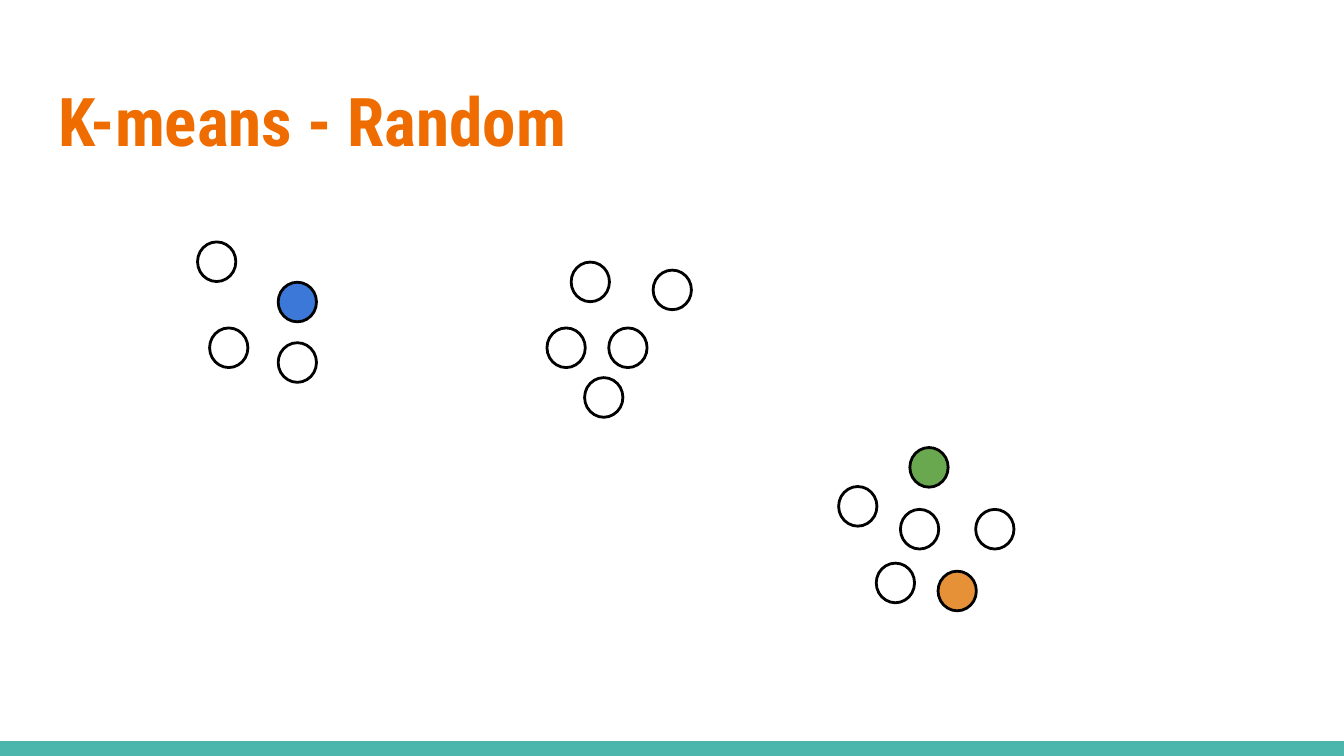
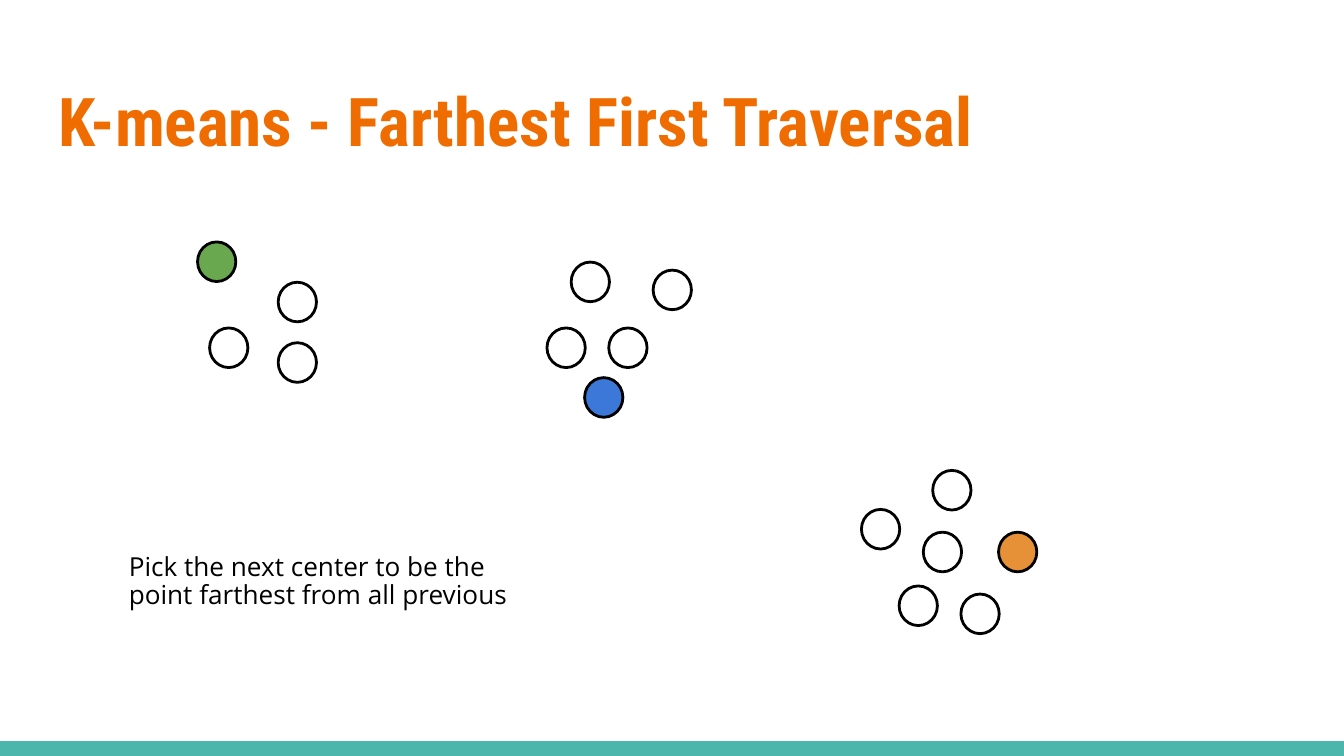
from dataclasses import dataclass

from pptx import Presentation
from pptx.dml.color import RGBColor
from pptx.enum.shapes import MSO_SHAPE as Shape
from pptx.enum.text import MSO_ANCHOR as Anchor
from pptx.util import Inches, Pt


@dataclass(frozen=True)
class Theme:
    title_font: str = "Roboto Condensed"
    body_font: str = "Open Sans"
    title_size: int = 36
    body_size: int = 14
    outline: float = 1.5
    title: str = "EF6C00"
    ink: str = "000000"
    band: str = "4DB6AC"
    blue: str = "3C78D8"
    green: str = "6AA84F"
    orange: str = "E69138"


THEME = Theme()

# The slide is a grid of 100 columns by 56.25 rows of equal cells
COLUMNS, ROWS = 100, 56.25
CELL = Inches(10) // COLUMNS
BAND_ROWS = 1.1
DOT_SIZE = (2.85, 2.95)

# Data points by cluster, as column and row of each dot's top left corner
LEFT = [(14.7, 18), (20.7, 21), (15.6, 24.4), (20.7, 25.5)]
MIDDLE = [(42.5, 19.5), (40.7, 24.4), (48.6, 20.1), (45.3, 24.4), (43.5, 28.1)]
RIGHT = [(69.8, 42.5), (72.6, 37.9), (65.2, 41.9), (67, 37.9), (67.7, 33.3), (62.4, 36.2)]
RIGHT_SHIFT = 1.7


def cells(*counts):
    return [round(count * CELL) for count in counts]


def color(value):
    return RGBColor.from_string(value)


def add_band(slide):
    band = slide.shapes.add_shape(
        Shape.RECTANGLE, *cells(0, ROWS - BAND_ROWS, COLUMNS, BAND_ROWS))
    band.shadow.inherit = False
    band.fill.solid()
    band.fill.fore_color.rgb = color(THEME.band)
    band.line.fill.background()


def add_text(slide, text, area, font_name, size, ink, bold=False, spacing=1.0):
    frame = slide.shapes.add_textbox(*cells(*area)).text_frame
    frame.word_wrap = True
    frame.vertical_anchor = Anchor.TOP
    frame.margin_left = frame.margin_right = Inches(0.1)
    frame.margin_top = frame.margin_bottom = Inches(0.1)
    frame.text = text
    paragraph = frame.paragraphs[0]
    paragraph.line_spacing = spacing
    font = paragraph.runs[0].font
    font.name, font.size, font.bold = font_name, Pt(size), bold
    font.color.rgb = color(ink)


def add_dots(slide, points, centers, shift=0):
    """Draw one cluster; centers maps a point's index to its fill colour."""
    for index, (column, row) in enumerate(points):
        dot = slide.shapes.add_shape(
            Shape.OVAL, *cells(column + shift, row + shift, *DOT_SIZE))
        dot.shadow.inherit = False
        dot.line.color.rgb = color(THEME.ink)
        dot.line.width = Pt(THEME.outline)
        if index in centers:
            dot.fill.solid()
            dot.fill.fore_color.rgb = color(centers[index])
        else:
            dot.fill.background()


def add_slide(presentation, title):
    slide = presentation.slides.add_slide(presentation.slide_layouts[6])
    add_band(slide)
    add_text(slide, title, (3.4, 4.9, 93.2, 7.7), THEME.title_font,
             THEME.title_size, THEME.title, bold=True)
    return slide


def main():
    presentation = Presentation()
    presentation.slide_width, presentation.slide_height = cells(COLUMNS, ROWS)

    # Random choice of centers
    slide = add_slide(presentation, "K-means - Random")
    add_dots(slide, LEFT, {1: THEME.blue})
    add_dots(slide, MIDDLE, {})
    add_dots(slide, RIGHT, {0: THEME.orange, 4: THEME.green})

    # Farthest first choice of centers
    slide = add_slide(presentation, "K-means - Farthest First Traversal")
    add_dots(slide, LEFT, {0: THEME.green})
    add_dots(slide, MIDDLE, {4: THEME.blue})
    add_text(slide, "Pick the next center to be the point farthest from all previous",
             (8.6, 40.2, 32.1, 4.3), THEME.body_font, THEME.body_size,
             THEME.ink, spacing=0.9)
    add_dots(slide, RIGHT, {1: THEME.orange}, RIGHT_SHIFT)

    presentation.save("out.pptx")


if __name__ == "__main__":
    main()
